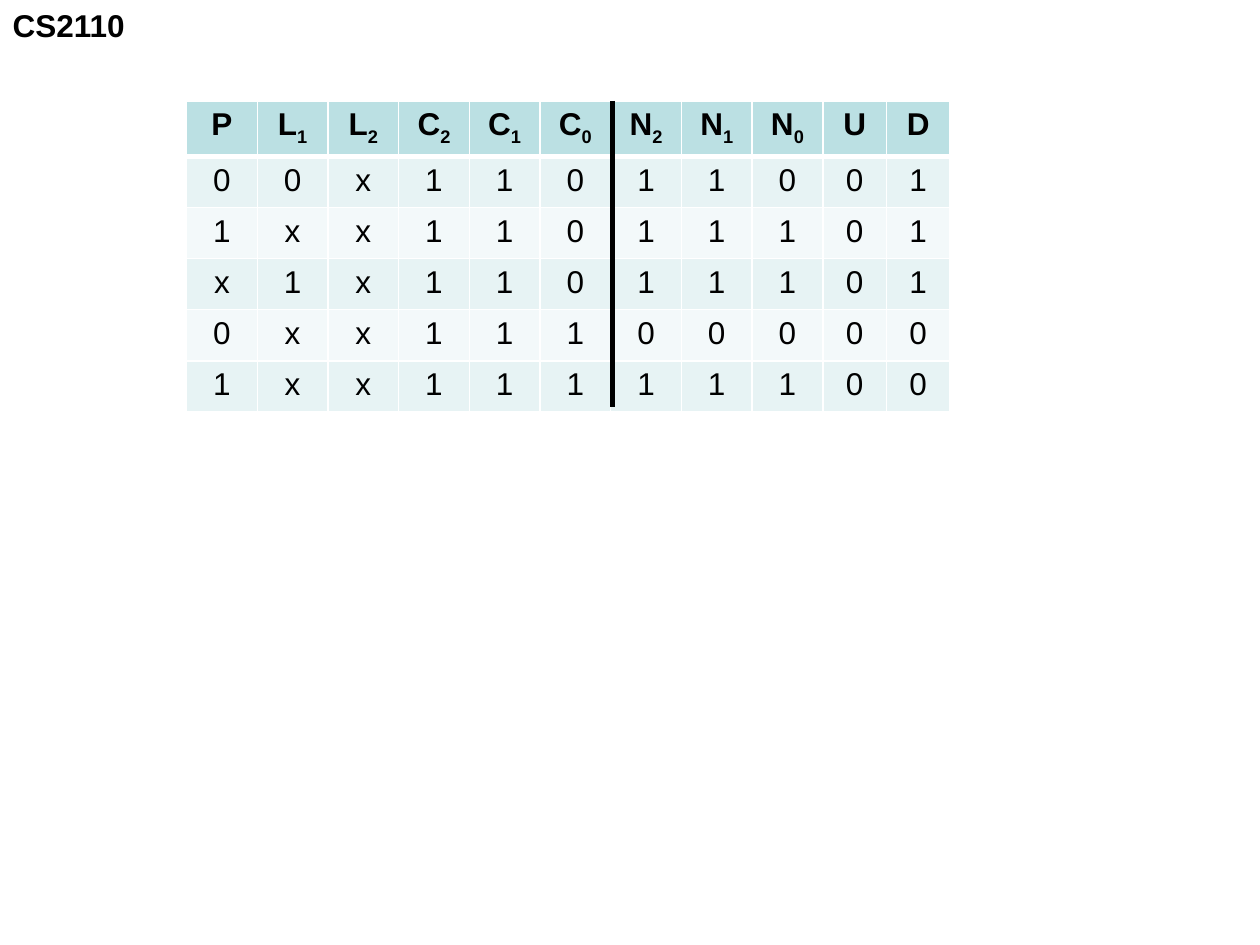
from dataclasses import dataclass

from lxml.etree import SubElement
from pptx import Presentation
from pptx.dml.color import RGBColor
from pptx.enum.shapes import MSO_CONNECTOR
from pptx.enum.text import MSO_ANCHOR, MSO_AUTO_SIZE, PP_ALIGN
from pptx.oxml.ns import qn
from pptx.util import Pt

COLORS = {
    "ink": "000000",
    "rule": "FFFFFF",
    "head": "BBE0E3",
    "odd": "E7F3F4",
    "even": "F3F9FA",
}
HEADS = "P L1 L2 C2 C1 C0 N2 N1 N0 U D".split()
ROWS = ["00x11011001", "1xx11011101", "x1x11011101", "0xx11100000", "1xx11111100"]
LEFT, TOP, HIGH = 106.6, 57.6, 29.2
WIDTHS = [40.4] * 9 + [36.5, 36]
INPUTS = 6


@dataclass
class Look:
    fill: str
    bold: bool
    above: float
    below: float


def tint(name: str) -> RGBColor:
    return RGBColor.from_string(COLORS[name])


def style(para, bold: bool) -> None:
    for run in para.runs:
        run.font.name = "Arial"
        run.font.size = Pt(18)
        run.font.bold = bold
        run.font.color.rgb = tint("ink")


def border(cell, look: Look) -> None:
    props = cell._tc.get_or_add_tcPr()
    for side, width in (("L", 1), ("R", 1), ("T", look.above), ("B", look.below)):
        line = SubElement(props, qn(f"a:ln{side}"), w=str(Pt(width)))
        fill = SubElement(line, qn("a:solidFill"))
        SubElement(fill, qn("a:srgbClr"), val=COLORS["rule"])


def write(cell, text: str, look: Look) -> None:
    """Fill one cell; a second character becomes a subscript."""
    border(cell, look)
    cell.fill.solid()
    cell.fill.fore_color.rgb = tint(look.fill)
    para = cell.text_frame.paragraphs[0]
    para.text = text[0]
    para.alignment = PP_ALIGN.CENTER
    if text[1:]:
        run = para.add_run()
        run.text = text[1:]
        run._r.get_or_add_rPr().set("baseline", "-25000")
    style(para, look.bold)


def label(slide, text: str) -> None:
    title = slide.shapes.title
    title.left, title.top, title.width, title.height = Pt(0), Pt(0), Pt(79.2), Pt(28.8)
    frame = title.text_frame
    frame.text = text
    frame.word_wrap = False
    frame.auto_size = MSO_AUTO_SIZE.SHAPE_TO_FIT_TEXT
    frame.vertical_anchor = MSO_ANCHOR.TOP
    frame.paragraphs[0].alignment = PP_ALIGN.LEFT
    style(frame.paragraphs[0], True)


def grid(slide) -> None:
    lines = [HEADS, *ROWS]
    table = slide.shapes.add_table(
        len(lines), len(HEADS), Pt(LEFT), Pt(TOP), Pt(sum(WIDTHS)), Pt(HIGH * len(lines))
    ).table
    table.horz_banding = False
    for col, width in zip(table.columns, WIDTHS):
        col.width = Pt(width)
    for i, line in enumerate(lines):
        table.rows[i].height = Pt(HIGH)
        if i == 0:
            look = Look("head", True, 1, 3)
        else:
            look = Look("odd" if i % 2 else "even", False, 3 if i == 1 else 1, 1)
        for j, text in enumerate(line):
            write(table.cell(i, j), text, look)


def split(slide) -> None:
    x = Pt(LEFT + sum(WIDTHS[:INPUTS]) + 0.8)
    end = Pt(TOP + HIGH * (len(ROWS) + 1))
    line = slide.shapes.add_connector(MSO_CONNECTOR.STRAIGHT, x, Pt(TOP), x, end)
    line.line.color.rgb = tint("ink")
    line.line.width = Pt(3)
    SubElement(line._element.spPr, qn("a:effectLst"))


def main() -> None:
    deck = Presentation()
    deck.slide_width, deck.slide_height = Pt(720), Pt(540)
    slide = deck.slides.add_slide(deck.slide_layouts[5])

    # Course label
    label(slide, "CS2110")
    # Truth table
    grid(slide)
    # Rule between inputs and outputs
    split(slide)

    deck.save("out.pptx")


if __name__ == "__main__":
    main()
